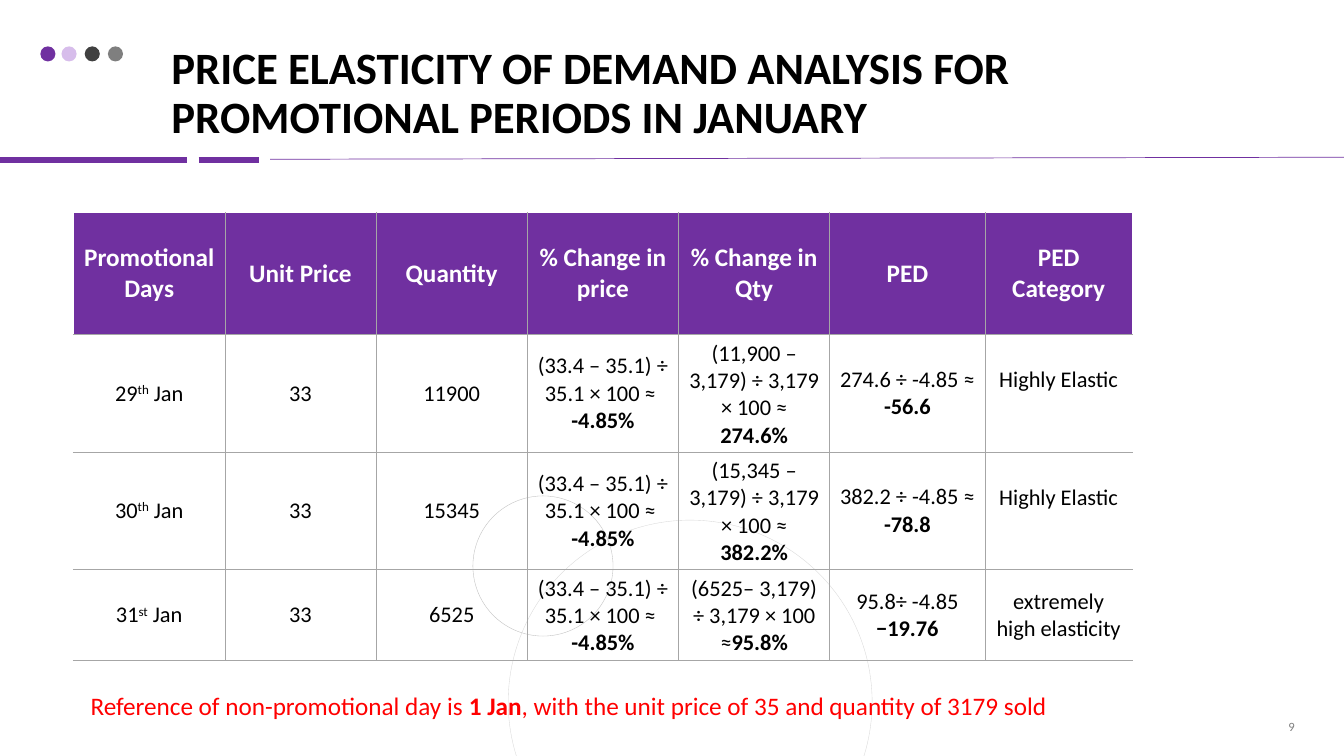
from lxml.etree import SubElement
from pptx import Presentation
from pptx.dml.color import RGBColor
from pptx.enum.shapes import MSO_CONNECTOR, MSO_SHAPE
from pptx.enum.text import MSO_ANCHOR, PP_ALIGN
from pptx.oxml.ns import qn
from pptx.util import Emu, Pt

EMU_PER_PX = 9144  # 100 px to the inch
FONT = "Calibri"
PURPLE, WHITE, BLACK, RED = "7030A0", "FFFFFF", "000000", "FF0000"
GRID = ("A6A6A6", 0.5)
EDGE = (WHITE, 1)

HEADERS = ["Promotional Days", "Unit Price", "Quantity", "% Change in price",
           "% Change in Qty", "PED", "PED Category"]
COLUMN_WIDTHS = [150, 150, 150, 150, 150, 154, 146]
ROW_HEIGHTS = [121, 113, 113, 87]
PRICE_CHANGE = [[("(33.4 – 35.1) ÷ 35.1 × 100 ≈ ", "")], [("-4.85%", "bold")]]
# Each entry: day, ordinal, quantity, quantity change, elasticity, category
PROMOTIONS = [
    ("29", "th", "11900",
     [[("(11,900 – 3,179) ÷ 3,179 × 100 ≈ ", ""), ("274.6%", "bold")]],
     [[("274.6 ÷ -4.85 ≈ ", ""), ("-56.6", "bold")]], "Highly Elastic"),
    ("30", "th", "15345",
     [[("(15,345 – 3,179) ÷ 3,179 × 100 ≈ ", ""), ("382.2%", "bold")]],
     [[("382.2 ÷ -4.85 ≈ ", ""), ("-78.8", "bold")]], "Highly Elastic"),
    ("31", "st", "6525",
     [[("(6525– 3,179) ÷ 3,179 × 100 ≈", ""), ("95.8%", "bold")]],
     [[("95.8÷ -4.85", "")], [("−19.76", "bold")]], "extremely high elasticity"),
]


def px(length):
    return Emu(length * EMU_PER_PX)


def color(hex_string):
    return RGBColor.from_string(hex_string)


def write_text(frame, paragraphs, size, hex_color, align=PP_ALIGN.LEFT):
    frame.word_wrap = True
    for index, runs in enumerate(paragraphs):
        paragraph = frame.add_paragraph() if index else frame.paragraphs[0]
        paragraph.alignment = align
        for text, style in runs:
            run = paragraph.add_run()
            run.text = text
            run.font.name = FONT
            run.font.size = Pt(size)
            run.font.bold = style == "bold"
            run.font.color.rgb = color(hex_color)
            if style == "superscript":
                run.font._element.set("baseline", "30000")


def add_text(slide, box, runs, size, hex_color, align=PP_ALIGN.LEFT,
             anchor=MSO_ANCHOR.TOP):
    frame = slide.shapes.add_textbox(*map(px, box)).text_frame
    frame.vertical_anchor = anchor
    write_text(frame, [runs], size, hex_color, align)
    return frame


def add_rule(slide, start, end, width):
    line = slide.shapes.add_connector(MSO_CONNECTOR.STRAIGHT,
                                      *map(px, start + end))
    line.line.color.rgb = color(PURPLE)
    line.line.width = Pt(width)
    SubElement(line._element.spPr, qn("a:effectLst"))


def add_circle(slide, left, top, diameter, fill=None, outline=None, opacity=100):
    circle = slide.shapes.add_shape(MSO_SHAPE.OVAL, px(left), px(top),
                                    px(diameter), px(diameter))
    circle.shadow.inherit = False
    if fill:
        circle.fill.solid()
        circle.fill.fore_color.rgb = color(fill)
        if opacity < 100:
            fill_color = circle._element.spPr.find(qn("a:solidFill"))[0]
            SubElement(fill_color, qn("a:alpha"), val=str(opacity * 1000))
    else:
        circle.fill.background()
    if outline:
        circle.line.color.rgb = color(outline)
        circle.line.width = Pt(0.25)
    else:
        circle.line.fill.background()


def set_borders(cell, borders):
    properties = cell._tc.get_or_add_tcPr()
    for side, (hex_color, width) in borders.items():
        line = SubElement(properties, qn("a:ln" + side), w=str(Pt(width)))
        fill = SubElement(line, qn("a:solidFill"))
        SubElement(fill, qn("a:srgbClr"), val=hex_color)


def promotion_row(day, ordinal, quantity, quantity_change, elasticity, category):
    date = [[(day, ""), (ordinal, "superscript"), (" Jan", "")]]
    return [date, [[("33", "")]], [[(quantity, "")]], PRICE_CHANGE,
            quantity_change, elasticity, [[(category, "")]]]


def add_elasticity_table(slide):
    rows = [[[[(header, "bold")]] for header in HEADERS]]
    rows += [promotion_row(*promotion) for promotion in PROMOTIONS]
    table = slide.shapes.add_table(
        len(rows), len(HEADERS), px(73), px(211),
        px(sum(COLUMN_WIDTHS)), px(sum(ROW_HEIGHTS))).table
    table.first_row = table.horz_banding = False
    for column, width in zip(table.columns, COLUMN_WIDTHS):
        column.width = px(width)
    last_column = len(HEADERS) - 1
    for row_index, row in enumerate(rows):
        table.rows[row_index].height = px(ROW_HEIGHTS[row_index])
        is_header = row_index == 0
        for column_index, paragraphs in enumerate(row):
            cell = table.cell(row_index, column_index)
            cell.vertical_anchor = MSO_ANCHOR.MIDDLE
            set_borders(cell, {
                "L": EDGE if column_index == 0 else GRID,
                "R": EDGE if column_index == last_column else GRID,
                "T": EDGE if is_header else GRID,
                "B": GRID})
            if is_header:
                cell.fill.solid()
                cell.fill.fore_color.rgb = color(PURPLE)
            else:
                cell.fill.background()
            write_text(cell.text_frame, paragraphs, 18 if is_header else 16,
                       WHITE if is_header else BLACK, PP_ALIGN.CENTER)
    # The two "Highly Elastic" labels sit a little above the middle
    for row_index in (1, 2):
        table.cell(row_index, last_column).margin_bottom = px(32)


def main():
    presentation = Presentation()
    presentation.slide_width, presentation.slide_height = px(1333), px(750)
    slide = presentation.slides.add_slide(presentation.slide_layouts[6])

    # Header rules and dots
    add_rule(slide, (0, 159), (185, 159), 4.5)
    add_rule(slide, (197, 159), (257, 159), 4.5)
    add_rule(slide, (268, 158), (1333, 156), 0.5)
    for left, fill, opacity in [(40, PURPLE, 100), (61, "C7A2E3", 70),
                                (84, "404040", 100), (107, "7F7F7F", 100)]:
        add_circle(slide, left, 46, 15, fill=fill, opacity=opacity)

    # Background circles
    add_circle(slide, 504, 516, 361, outline="D9D9D9")
    add_circle(slide, 469, 492, 139, outline="BFBFBF")

    # Title
    title = add_text(
        slide, (170, 16, 921, 126),
        [("PRICE ELASTICITY OF DEMAND ANALYSIS FOR PROMOTIONAL PERIODS IN JANUARY",
          "bold")], 32, BLACK, anchor=MSO_ANCHOR.BOTTOM)
    title.margin_left = title.margin_right = 0
    title.margin_top = title.margin_bottom = 0
    title.paragraphs[0].line_spacing = 0.9

    # Table, page number and reference note
    add_elasticity_table(slide)
    add_text(slide, (994, 707, 300, 27), [("9", "")], 9, "7F7F7F",
             PP_ALIGN.RIGHT, MSO_ANCHOR.MIDDLE)
    add_text(slide, (80, 680, 1050, 40),
             [("Reference of non-promotional day is ", ""), ("1 Jan", "bold"),
              (", with the unit price of 35 and quantity of 3179 sold", "")],
             18, RED)

    presentation.save("out.pptx")


if __name__ == "__main__":
    main()
